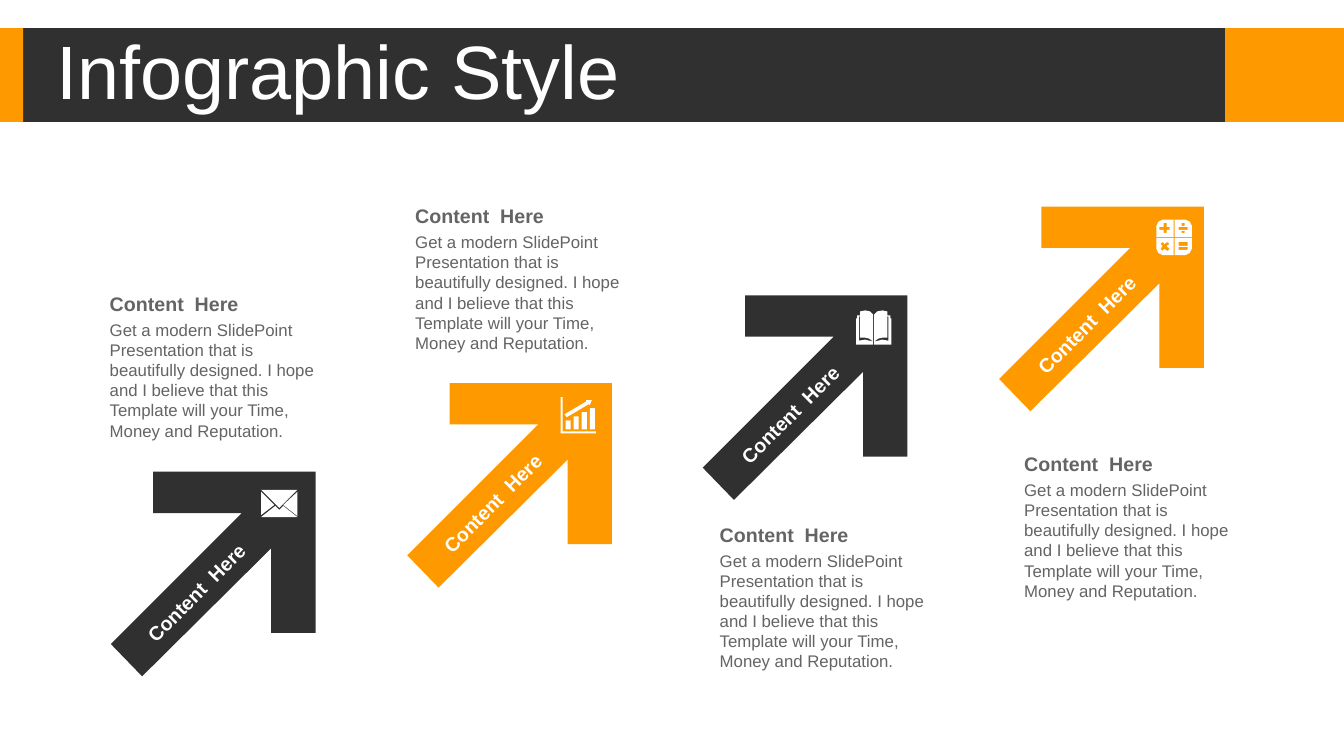
"""Build a slide with four rising arrows, each with an icon, a label and a text."""
from dataclasses import dataclass

from pptx import Presentation
from pptx import util as u
from pptx.dml import color
from pptx.enum import shapes, text

PX = u.Inches(1) // 100
SLIDE_SIZE = (1333, 750)


@dataclass(frozen=True)
class Theme:
    dark: str = "303030"
    accent: str = "FE9900"
    white: str = "FFFFFF"
    gray: str = "646464"
    font: str = "Arial"
    title: int = 54
    heading: int = 14
    body: int = 12


THEME = Theme()


def box(left, top, right, bottom):
    return [(left, top), (right, top), (right, bottom), (left, bottom)]


def across(outline):
    return [(35 - x, y) for x, y in outline]


def down(outline):
    return [(x, 35 - y) for x, y in outline]


TITLE = "Infographic Style"
HEADING = "Content  Here"
BODY = (
    "Get a modern SlidePoint Presentation that is beautifully designed. "
    "I hope and I believe that this Template will your Time, Money and Reputation."
)
BARS = [
    (1215, 28, 118, 93, THEME.accent),
    (0, 28, 1215, 93, THEME.dark),
    (0, 28, 23, 93, THEME.accent),
]
ARROW = [(42, 0), (203, 0), (203, 160), (159, 160), (159, 76),
         (31, 203), (0, 171), (130, 41), (42, 41)]
ENVELOPE = [
    [(0, 0), (36, 0), (18, 18)],
    [(0, 2), (13, 15), (0, 25)],
    [(36, 2), (36, 26), (22, 15)],
    [(22, 16), (36, 27), (0, 27), (14, 16), (18, 20)],
]
GROWTH = [box(5 + 8 * i, 23 - 4 * i, 10 + 8 * i, 32) for i in range(4)] + [
    [(25, 3), (31, 3), (29, 8), (28, 7), (6, 20), (4, 17), (26, 4)],
    [(0, 0), (2, 0), (2, 34), (35, 34), (35, 36), (0, 36)],
]
PAGE = [(0, 8), (1, 8), (1, 5), (4, 5), (4, 1), (9, 0), (14, 1),
        (17, 4), (17, 34), (0, 34)]
PAGE_EDGE = [(3, 6), (4, 6), (4, 27), (9, 27), (13, 28), (17, 31),
             (13, 30), (9, 29), (3, 30)]
BOOK = [PAGE, PAGE_EDGE, across(PAGE), across(PAGE_EDGE)]
KEY = [(6, 0), (17, 0), (17, 17), (0, 17), (0, 6), (2, 2)]
PLUS = [(7, 3), (10, 3), (10, 7), (13, 7), (13, 10), (10, 10),
        (10, 13), (7, 13), (7, 10), (3, 10), (3, 7), (7, 7)]
TIMES = [(6, 22), (4, 24), (6, 26), (4, 29), (6, 31), (8, 29),
         (11, 31), (13, 29), (10, 26), (13, 24), (11, 22), (8, 24)]
CALCULATOR = [
    KEY, across(KEY), down(KEY), down(across(KEY)), PLUS, TIMES,
    box(22, 7, 31, 10), box(25, 3, 28, 6), box(25, 11, 28, 13),
    box(22, 22, 31, 26), box(22, 27, 31, 30),
]
STEPS = [
    {"color": THEME.dark, "text": (99, 284), "icon": ENVELOPE, "icon_at": (259, 486)},
    {"color": THEME.accent, "text": (402, 197), "icon": GROWTH, "icon_at": (556, 394)},
    {"color": THEME.dark, "text": (704, 513), "icon": BOOK, "icon_at": (849, 308)},
    {"color": THEME.accent, "text": (1006, 443), "icon": CALCULATOR, "icon_at": (1147, 218)},
]
ARROW_RANGE = ((110, 468), (991, 205))
LABEL_RANGE = ((106, 571), (989, 305))


def px(*lengths):
    return [length * PX for length in lengths]


def climb(ends, index):
    return [round(a + (b - a) * index / (len(STEPS) - 1)) for a, b in zip(*ends)]


def paint(shape, fill):
    shape.shadow.inherit = False
    shape.fill.solid()
    shape.fill.fore_color.rgb = color.RGBColor.from_string(fill)
    shape.line.fill.background()


def write(shape, words, size, ink, bold=False, align=text.PP_ALIGN.LEFT,
          anchor=text.MSO_ANCHOR.MIDDLE, spacing=None):
    frame = shape.text_frame
    frame.text = words
    frame.word_wrap = True
    frame.auto_size = text.MSO_AUTO_SIZE.NONE
    frame.vertical_anchor = anchor
    paragraph = frame.paragraphs[0]
    paragraph.alignment = align
    paragraph.line_spacing = spacing
    font = paragraph.runs[0].font
    font.name, font.size, font.bold = THEME.font, u.Pt(size), bold
    font.color.rgb = color.RGBColor.from_string(ink)


def draw_outlines(slide, outlines, position, fill):
    first, *others = outlines
    builder = slide.shapes.build_freeform(*first[0], scale=PX)
    builder.add_line_segments(first[1:], close=True)
    for outline in others:
        builder.move_to(*outline[0])
        builder.add_line_segments(outline[1:], close=True)
    paint(builder.convert_to_shape(*px(*position)), fill)


def add_header(slide):
    for *place, fill in BARS:
        bar = slide.shapes.add_shape(shapes.MSO_SHAPE.RECTANGLE, *px(*place))
        paint(bar, fill)
    title = slide.shapes.title
    title.left, title.top, title.width, title.height = px(46, 35, 970, 79)
    write(title, TITLE, THEME.title, THEME.white, spacing=0.9)
    slide.shapes._spTree.append(title._element)


def add_step(slide, index, step):
    draw_outlines(slide, [ARROW], climb(ARROW_RANGE, index), step["color"])
    label = slide.shapes.add_textbox(*px(*climb(LABEL_RANGE, index), 177, 34))
    label.rotation = 315
    write(label, HEADING, THEME.heading, THEME.white, bold=True,
          align=text.PP_ALIGN.CENTER)
    left, top = step["text"]
    heading = slide.shapes.add_textbox(*px(left, top, 227, 34))
    write(heading, HEADING, THEME.heading, THEME.gray, bold=True)
    body = slide.shapes.add_textbox(*px(left, top + 28, 227, 131))
    write(body, BODY, THEME.body, THEME.gray, anchor=text.MSO_ANCHOR.TOP)
    draw_outlines(slide, step["icon"], step["icon_at"], THEME.white)


def main():
    presentation = Presentation()
    presentation.slide_width, presentation.slide_height = px(*SLIDE_SIZE)
    slide = presentation.slides.add_slide(presentation.slide_layouts[5])
    add_header(slide)
    for index, step in enumerate(STEPS):
        add_step(slide, index, step)
    presentation.save("out.pptx")


if __name__ == "__main__":
    main()
